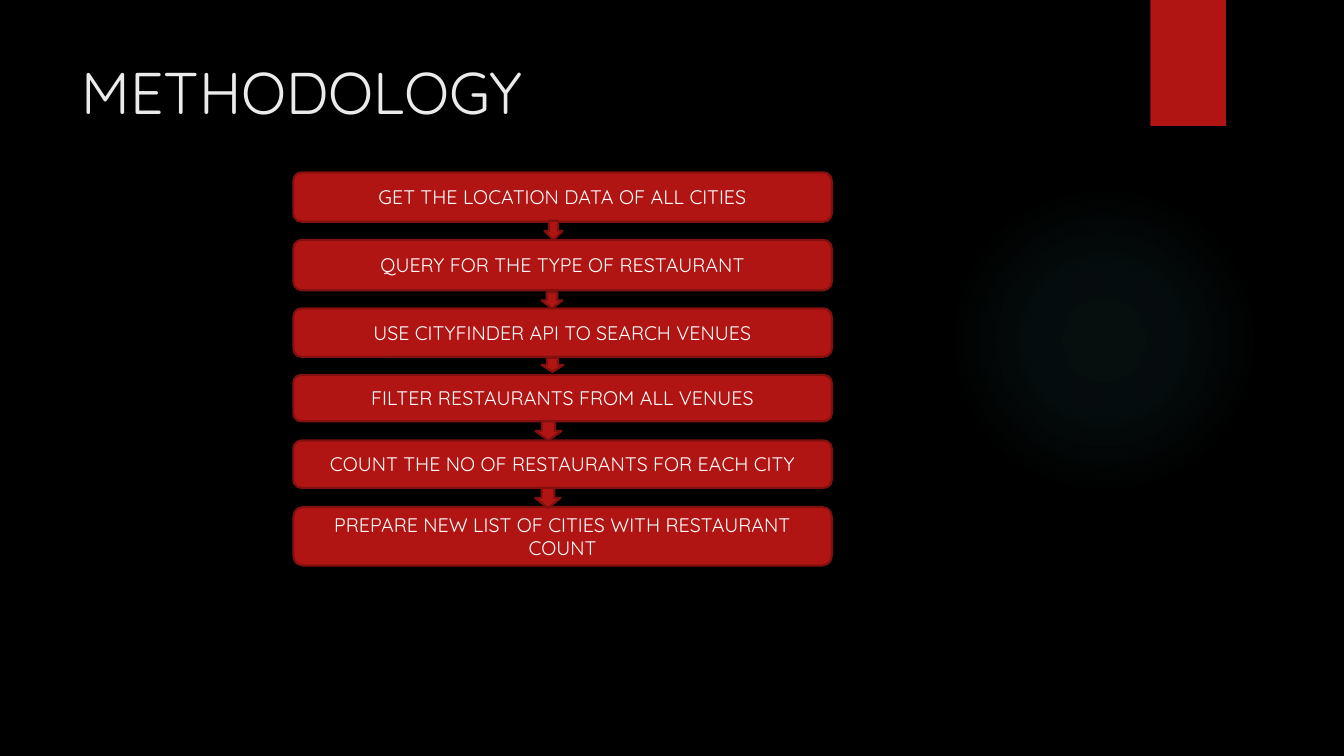
"""Build the Methodology slide: six process steps joined by down arrows."""
from lxml import etree
from pptx import Presentation
from pptx.dml.color import RGBColor
from pptx.enum.shapes import MSO_SHAPE as SHAPE
from pptx.enum.text import MSO_ANCHOR as ANCHOR, PP_ALIGN as ALIGN
from pptx.oxml.ns import qn
from pptx.util import Inches, Pt

RED, DARK_RED = "B01513", "82100E"
FONT = "Quicksand"


def paint(color_format, value):
    color_format.rgb = RGBColor.from_string(value)


def add_block(kind, left, top, width, height, outline=None):
    block = slide.shapes.add_shape(
        kind, Inches(left), Inches(top), Inches(width), Inches(height))
    block.shadow.inherit = False
    block.fill.solid()
    paint(block.fill.fore_color, RED)
    if outline:
        paint(block.line.color, outline)
        block.line.width = Pt(1.5)
    else:
        block.line.fill.background()
    return block


deck = Presentation()
deck.slide_width, deck.slide_height = Inches(13.33), Inches(7.5)
slide = deck.slides.add_slide(deck.slide_layouts[6])
slide.background.fill.solid()
paint(slide.background.fill.fore_color, "000000")

glow = add_block(SHAPE.OVAL, 9.41, 1.83, 3.08, 3.08)
glow.fill.gradient()
gradient = glow.fill._xPr.find(qn("a:gradFill"))
for part in list(gradient):
    gradient.remove(part)
stops = etree.SubElement(gradient, qn("a:gsLst"))
for position, opacity in [(0, 7), (36, 6), (69, 0)]:
    stop = etree.SubElement(stops, qn("a:gs"), pos=str(position * 1000))
    tint = etree.SubElement(stop, qn("a:srgbClr"), val="50B9C1")
    etree.SubElement(tint, qn("a:alpha"), val=str(opacity * 1000))
circle = etree.SubElement(gradient, qn("a:path"), path="circle")
etree.SubElement(circle, qn("a:fillToRect"), l="50000", t="50000", r="50000", b="50000")

add_block(SHAPE.RECTANGLE, 11.41, 0, 0.75, 1.25)

title = slide.shapes.add_textbox(Inches(0.71), Inches(0.5), Inches(10.29), Inches(0.88))
title.text_frame.word_wrap = True
heading = title.text_frame.paragraphs[0].add_run()
heading.text = "METHODOLOGY"
heading.font.name, heading.font.size = FONT, Pt(42)
paint(heading.font.color, "EBEBEB")

steps = [
    ("GET THE LOCATION DATA OF ALL CITIES", 1.71, 0.49),
    ("QUERY FOR THE TYPE OF RESTAURANT", 2.38, 0.5),
    ("USE CITYFINDER API TO SEARCH VENUES", 3.06, 0.48),
    ("FILTER RESTAURANTS FROM ALL VENUES", 3.72, 0.46),
    ("COUNT THE NO OF RESTAURANTS FOR EACH CITY", 4.37, 0.47),
    ("PREPARE NEW LIST OF CITIES WITH RESTAURANT COUNT", 5.03, 0.58),
]
for wording, top, height in steps:
    step = add_block(SHAPE.ROUNDED_RECTANGLE, 2.91, top, 5.34, height, DARK_RED)
    step.text_frame.word_wrap = True
    step.text_frame.vertical_anchor = ANCHOR.MIDDLE
    line = step.text_frame.paragraphs[0]
    line.alignment = ALIGN.CENTER
    label = line.add_run()
    label.text = wording
    label.font.name, label.font.size = FONT, Pt(14)
    paint(label.font.color, "FFFFFF")

arrows = [
    (5.4, 2.19, 0.18, 0.19),
    (5.37, 2.9, 0.21, 0.16),
    (5.37, 3.55, 0.22, 0.14),
    (5.31, 4.18, 0.26, 0.19),
    (5.31, 4.84, 0.25, 0.2),
]
for arrow in arrows:
    add_block(SHAPE.DOWN_ARROW, *arrow, DARK_RED)

deck.save("out.pptx")
